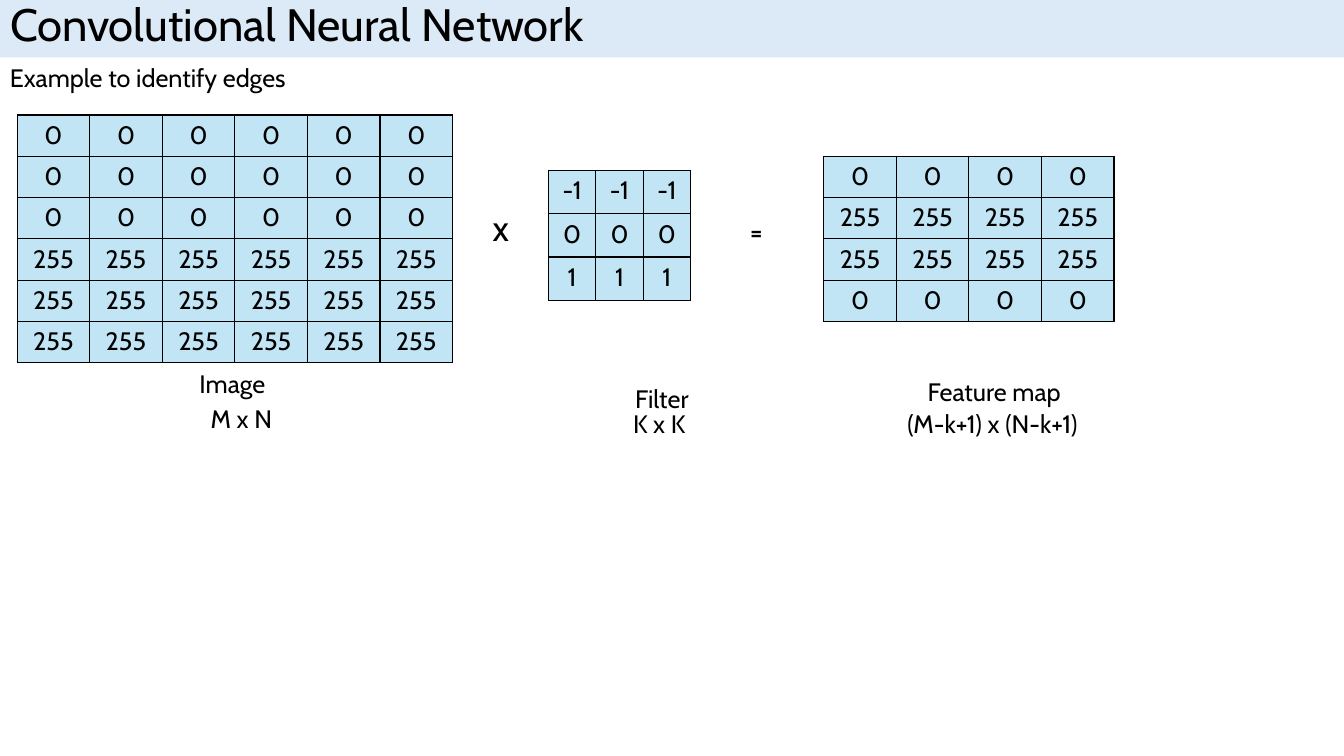
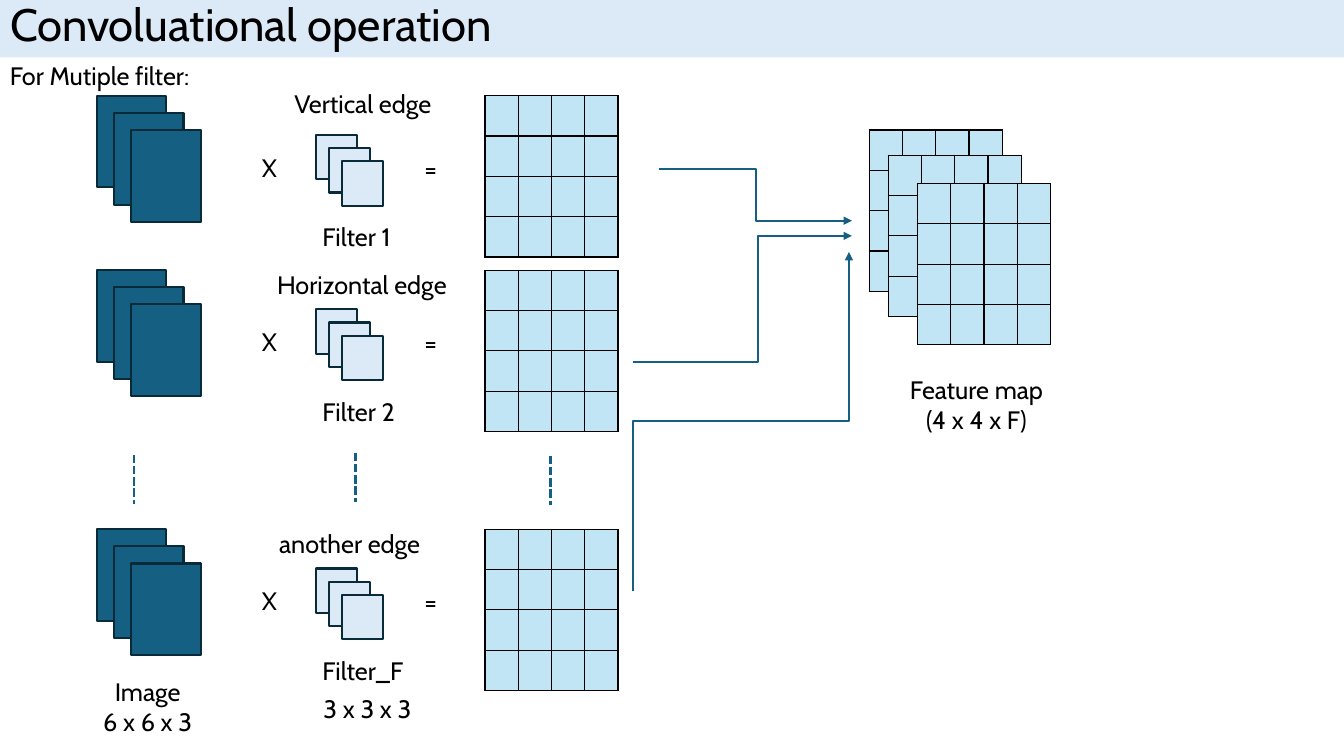
from typing import NamedTuple

from lxml import etree
from pptx import Presentation
from pptx.dml.color import RGBColor
from pptx.enum.dml import MSO_LINE
from pptx.enum.shapes import MSO_CONNECTOR, MSO_SHAPE
from pptx.enum.text import MSO_ANCHOR, MSO_AUTO_SIZE, PP_ALIGN
from pptx.oxml.ns import qn
from pptx.util import Inches, Pt

LEFT, CENTER = PP_ALIGN.LEFT, PP_ALIGN.CENTER
MIDDLE = MSO_ANCHOR.MIDDLE
GROW, FIXED = MSO_AUTO_SIZE.SHAPE_TO_FIT_TEXT, MSO_AUTO_SIZE.NONE
RECT = MSO_SHAPE.RECTANGLE
STRAIGHT, ELBOW = MSO_CONNECTOR.STRAIGHT, MSO_CONNECTOR.ELBOW
DASH = MSO_LINE.SQUARE_DOT

FONT = "Cabin"
WIDTH, HEIGHT = 13.33, 7.5
TITLE_ONLY = 5
COLORS = {
    "text": "000000",
    "band": "DCEAF7",
    "cell": "C1E5F5",
    "image": "156082",
    "edge": "092A39",
    "line": "156082",
}

Point = tuple[float, float]


class Label(NamedTuple):
    text: str
    left: float
    top: float
    width: float
    align: PP_ALIGN = LEFT
    bold: bool = False


class Grid(NamedTuple):
    left: float
    top: float
    col: float
    row: float
    values: list[list[str]]


class Stack(NamedTuple):
    left: float
    top: float
    width: float
    height: float
    step: float
    fill: str


class Elbow(NamedTuple):
    start: Point
    end: Point
    bend: float = 0.5
    upright: bool = False


class Branch(NamedTuple):
    top: float
    edge: Label
    name: str


def color(name: str) -> RGBColor:
    return RGBColor.from_string(COLORS[name])


def style(frame, size: float, align: PP_ALIGN, bold: bool = False) -> None:
    for para in frame.paragraphs:
        para.alignment = align
        for run in para.runs:
            run.font.name = FONT
            run.font.size = Pt(size)
            run.font.bold = bold
            run.font.color.rgb = color("text")


def add_page(deck, title: str):
    """Add a slide whose title fills the band at the top."""
    slide = deck.slides.add_slide(deck.slide_layouts[TITLE_ONLY])
    band = slide.shapes.title
    band.left = band.top = Inches(0)
    band.width, band.height = Inches(WIDTH), Inches(0.57)
    band.fill.solid()
    band.fill.fore_color.rgb = color("band")
    frame = band.text_frame
    frame.text = title
    frame.auto_size = FIXED
    frame.vertical_anchor = MIDDLE
    frame.paragraphs[0].line_spacing = 0.8
    style(frame, 32.4, LEFT)
    return slide


def add_label(slide, label: Label) -> None:
    box = slide.shapes.add_textbox(
        Inches(label.left), Inches(label.top), Inches(label.width), Inches(0.4)
    )
    frame = box.text_frame
    frame.word_wrap = True
    frame.auto_size = GROW
    frame.text = label.text
    style(frame, 18, label.align, label.bold)


def add_border(cell) -> None:
    props = cell._tc.get_or_add_tcPr()
    for spot, side in enumerate(("a:lnL", "a:lnR", "a:lnT", "a:lnB")):
        line = etree.Element(qn(side), w=str(Pt(1)))
        fill = etree.SubElement(line, qn("a:solidFill"))
        etree.SubElement(fill, qn("a:srgbClr"), val=COLORS["text"])
        props.insert(spot, line)


def add_grid(slide, grid: Grid) -> None:
    rows, cols = len(grid.values), len(grid.values[0])
    table = slide.shapes.add_table(
        rows, cols, Inches(grid.left), Inches(grid.top),
        Inches(cols * grid.col), Inches(rows * grid.row),
    ).table
    table.first_row = table.horz_banding = False
    for col in table.columns:
        col.width = Inches(grid.col)
    for row, texts in zip(table.rows, grid.values):
        row.height = Inches(grid.row)
        for cell, text in zip(row.cells, texts):
            cell.fill.solid()
            cell.fill.fore_color.rgb = color("cell")
            add_border(cell)
            if text:
                cell.text = text
                style(cell.text_frame, 18, CENTER)
            else:
                cell.margin_top = cell.margin_bottom = 0


def add_stack(slide, stack: Stack) -> None:
    """Draw three overlapping sheets as one group."""
    group = slide.shapes.add_group_shape()
    for i in range(3):
        shift = i * stack.step
        sheet = group.shapes.add_shape(
            RECT, Inches(stack.left + shift), Inches(stack.top + shift),
            Inches(stack.width), Inches(stack.height),
        )
        sheet.shadow.inherit = False
        sheet.fill.solid()
        sheet.fill.fore_color.rgb = color(stack.fill)
        sheet.line.color.rgb = color("edge")
        sheet.line.width = Pt(1.5)


def add_line(slide, kind: MSO_CONNECTOR, start: Point, end: Point, width: float):
    link = slide.shapes.add_connector(
        kind, *(Inches(value) for value in (*start, *end))
    )
    link.line.color.rgb = color("line")
    link.line.width = Pt(width)
    etree.SubElement(link._element.spPr, qn("a:effectLst"))
    return link


def add_elbow(slide, elbow: Elbow) -> None:
    """Draw a bent arrow; an upright one leaves and arrives vertically."""
    start, end = elbow.start, elbow.end
    if elbow.upright:
        mid_x, mid_y = (start[0] + end[0]) / 2, (start[1] + end[1]) / 2
        start, end = (
            (mid_x + y - mid_y, mid_y - x + mid_x) for x, y in (start, end)
        )
    link = add_line(slide, ELBOW, start, end, 1.5)
    props = link._element.spPr
    if elbow.upright:
        props.find(qn("a:xfrm")).set("rot", str(90 * 60000))
    guides = props.find(qn("a:prstGeom")).find(qn("a:avLst"))
    bend = f"val {round(elbow.bend * 100000)}"
    etree.SubElement(guides, qn("a:gd"), name="adj1", fmla=bend)
    etree.SubElement(props.find(qn("a:ln")), qn("a:tailEnd"), type="triangle")


def add_branch(slide, branch: Branch) -> None:
    """Draw one row: image, filter and the map they give."""
    top = branch.top
    add_stack(slide, Stack(0.96, top, 0.69, 0.91, 0.17, "image"))
    add_stack(slide, Stack(3.13, top + 0.39, 0.41, 0.44, 0.13, "band"))
    add_grid(slide, blank(4.81, top))
    for label in (
        Label("X", 2.5, top + 0.51, 0.39),
        Label("=", 4.11, top + 0.52, 0.39),
        Label(branch.name, 3.1, top + 1.2, 1.03),
        branch.edge,
    ):
        add_label(slide, label)


def blank(left: float, top: float) -> Grid:
    return Grid(left, top, 0.33, 0.4, [[""] * 4] * 4)


def draw_edges(deck) -> None:
    slide = add_page(deck, "Convolutional Neural Network")
    dark, light = "0", "255"
    for grid in (
        Grid(0.17, 1.14, 0.72, 0.41, [[dark] * 6] * 3 + [[light] * 6] * 3),
        Grid(5.44, 1.69, 0.47, 0.43, [[n] * 3 for n in ("-1", "0", "1")]),
        Grid(8.17, 1.55, 0.72, 0.41,
             [[n] * 4 for n in (dark, light, light, dark)]),
    ):
        add_grid(slide, grid)
    for label in (
        Label("Example to identify edges", 0, 0.57, 3.07),
        Label("X", 4.79, 2.1, 0.32, bold=True),
        Label("=", 7.34, 2.1, 0.32, bold=True),
        Label("Image", 1.54, 3.6, 1.53, CENTER),
        Label("Filter", 5.8, 3.75, 1.53, CENTER),
        Label("Feature map", 8.88, 3.68, 1.96, CENTER),
        Label("M x N", 1.99, 3.95, 1.02),
        Label("K x K", 6.18, 4, 1.02),
        Label("(M-k+1) x (N-k+1)", 8.9, 4, 2.32),
    ):
        add_label(slide, label)


def draw_filters(deck) -> None:
    slide = add_page(deck, "Convoluational operation")
    for branch in (
        Branch(0.95, Label("Vertical edge", 2.82, 0.83, 1.69), "Filter 1"),
        Branch(2.68, Label("Horizontal edge", 2.65, 2.62, 2), "Filter 2"),
        Branch(5.25, Label("another edge", 2.67, 5.19, 2), "Filter_F"),
    ):
        add_branch(slide, branch)
    for left, top in ((8.62, 1.29), (8.81, 1.54), (9.1, 1.82)):
        add_grid(slide, blank(left, top))
    for elbow in (
        Elbow((6.54, 1.68), (8.45, 2.19)),
        Elbow((6.28, 3.59), (8.45, 2.34), bend=0.57),
        Elbow((6.28, 5.86), (8.42, 2.5), upright=True),
    ):
        add_elbow(slide, elbow)
    for x, y in ((1.33, 4.51), (3.53, 4.49), (5.46, 4.52)):
        link = add_line(slide, STRAIGHT, (x, y), (x, y + 0.49), 2)
        link.line.dash_style = DASH
    for label in (
        Label("For Mutiple filter:", 0, 0.55, 2.66),
        Label("Feature map\n(4 x 4 x F)", 8.85, 3.66, 1.67, CENTER),
        Label("Image\n6 x 6 x 3", 0.63, 6.66, 1.67, CENTER),
        Label("3 x 3 x 3", 2.81, 6.83, 1.67, CENTER),
    ):
        add_label(slide, label)


def main() -> None:
    deck = Presentation()
    deck.slide_width, deck.slide_height = Inches(WIDTH), Inches(HEIGHT)
    draw_edges(deck)
    draw_filters(deck)
    deck.save("out.pptx")


if __name__ == "__main__":
    main()
